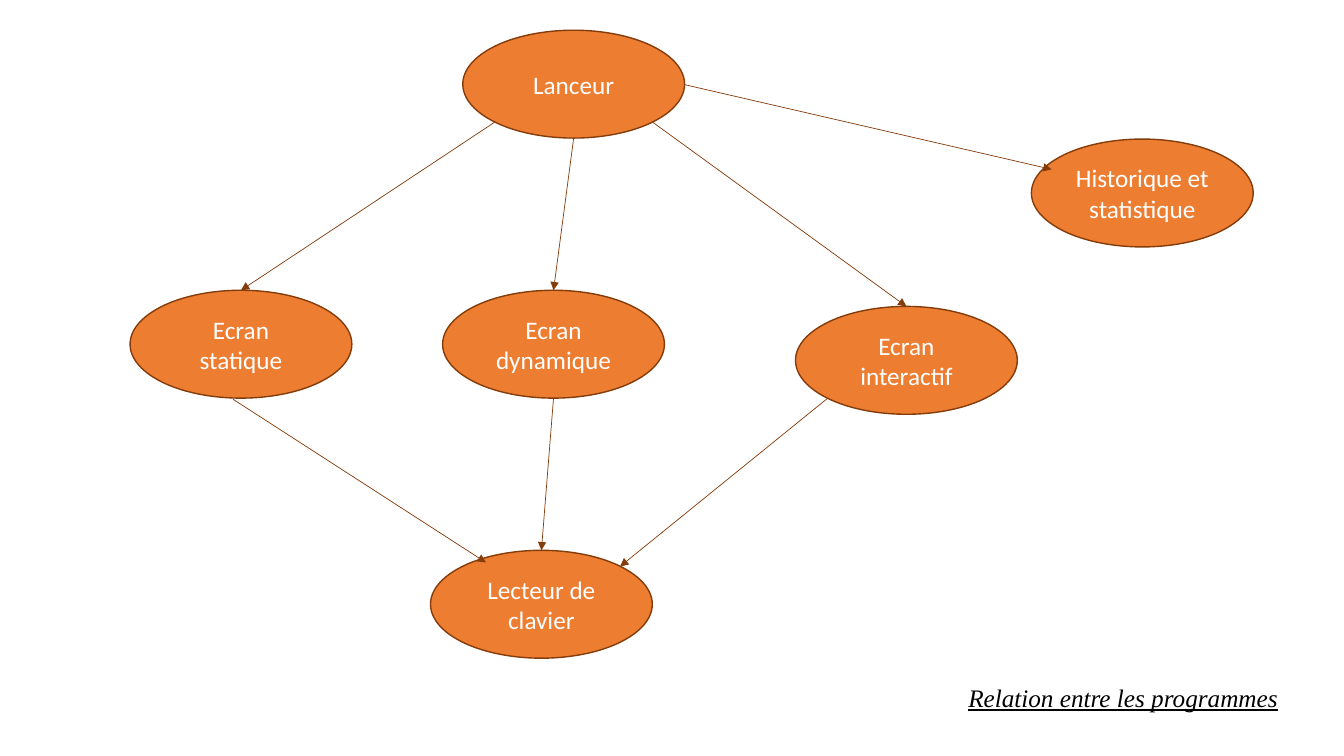
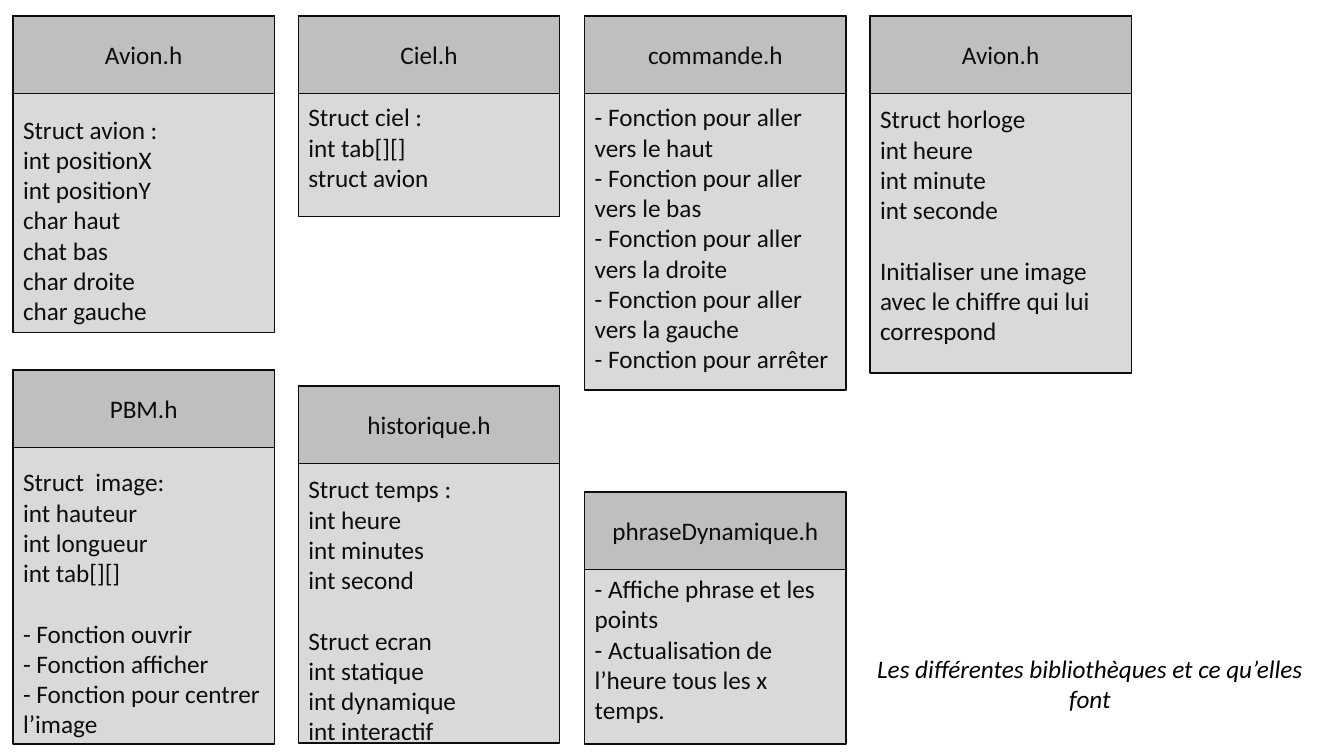
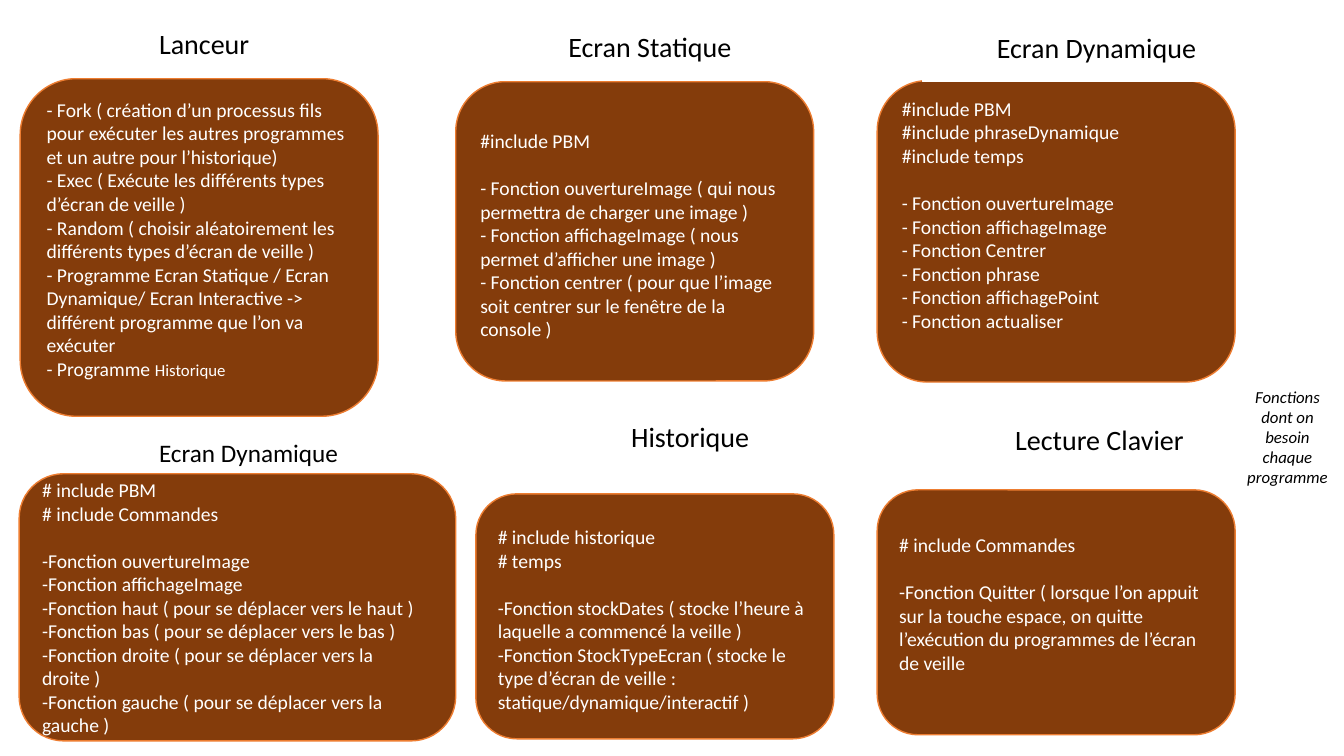
from dataclasses import dataclass
from math import cos, radians, sin
from typing import NamedTuple, Optional

from lxml.etree import SubElement
from pptx import Presentation
from pptx.dml.color import RGBColor
from pptx.enum.shapes import MSO_CONNECTOR as Connector
from pptx.enum.shapes import MSO_SHAPE as Preset
from pptx.enum.text import MSO_ANCHOR as Anchor
from pptx.enum.text import MSO_AUTO_SIZE as AutoSize
from pptx.enum.text import PP_ALIGN as Align
from pptx.oxml.ns import qn
from pptx.util import Emu, Pt

EMU_PER_PX = 9144
TITLE_ONLY = 5
LINE_RATIO = 1.2
CORNER_INSET = 0.16667 * (1 - cos(radians(45)))


@dataclass(frozen=True)
class Theme:
    font: str = "Calibri"
    caption_serif: str = "Times New Roman"
    white: str = "FFFFFF"
    black: str = "000000"
    ink: str = "0D0D0D"
    orange: str = "ED7D31"
    brown: str = "843C0B"
    header_gray: str = "BFBFBF"
    body_gray: str = "D9D9D9"
    heading_size: int = 20
    text_size: int = 18
    function_size: int = 14
    small_size: int = 12
    outline: float = 1
    arrow: float = 0.5


THEME = Theme()


class Box(NamedTuple):
    left: int
    top: int
    width: int
    height: int


class Point(NamedTuple):
    x: int
    y: int


@dataclass(frozen=True)
class TextStyle:
    size: int = THEME.text_size
    color: str = THEME.black
    font: str = THEME.font
    align: Align = Align.CENTER
    italic: bool = False
    underline: bool = False


@dataclass(frozen=True)
class Program:
    name: str
    left: int
    top: int

    def box(self) -> Box:
        return Box(self.left, self.top, 220, 107)

    def rim(self, degrees: int) -> Point:
        left, top, width, height = self.box()
        angle = radians(degrees)
        return Point(round(left + width / 2 * (1 + cos(angle))),
                     round(top + height / 2 * (1 + sin(angle))))


@dataclass(frozen=True)
class Link:
    start: Point
    end: Point
    joined_top: Optional[Program] = None


Groups = tuple[tuple[str, ...], ...]


@dataclass(frozen=True)
class Library:
    name: str
    column: int
    top: int
    height: int
    text_top: int
    groups: Groups


@dataclass(frozen=True)
class Functions:
    name: str
    heading: Point
    box: Box
    groups: Groups
    text_top: Optional[int] = None
    heading_size: int = THEME.heading_size
    small_tail: str = ""
    heading_behind: bool = False


TOP, BOTTOM, RIGHT, LOWER_RIGHT, LOWER_LEFT, UPPER_RIGHT = -90, 90, 0, 45, 135, -45

LAUNCHER = Program("Lanceur", 459, 30)
KEYBOARD = Program("Lecteur de clavier", 427, 546)
INTERACTIVE = Program("Ecran interactif", 789, 304)
DYNAMIC = Program("Ecran dynamique", 439, 288)
STATIC = Program("Ecran statique", 129, 288)
HISTORY = Program("Historique et statistique", 1023, 138)
PROGRAMS = (LAUNCHER, KEYBOARD, INTERACTIVE, DYNAMIC, STATIC, HISTORY)

LINKS = (
    Link(LAUNCHER.rim(BOTTOM), DYNAMIC.rim(TOP), DYNAMIC),
    Link(LAUNCHER.rim(LOWER_RIGHT), INTERACTIVE.rim(TOP), INTERACTIVE),
    Link(LAUNCHER.rim(LOWER_LEFT), STATIC.rim(TOP), STATIC),
    Link(LAUNCHER.rim(RIGHT), Point(1043, 168)),
    Link(Point(231, 396), Point(482, 558)),
    Link(DYNAMIC.rim(BOTTOM), KEYBOARD.rim(TOP), KEYBOARD),
    Link(INTERACTIVE.rim(LOWER_LEFT), KEYBOARD.rim(UPPER_RIGHT)),
)

LIBRARIES = (
    Library("Avion.h", 0, 16, 314, 113, ((
        "Struct avion :", "int positionX", "int positionY", "char haut",
        "chat bas", "char droite", "char gauche"),)),
    Library("Ciel.h", 1, 16, 199, 101, ((
        "Struct ciel :", "int tab[][]", "struct avion"),)),
    Library("commande.h", 2, 16, 371, 101, ((
        "- Fonction pour aller vers le haut",
        "- Fonction pour aller vers le bas",
        "- Fonction pour aller vers la droite",
        "- Fonction pour aller vers la gauche",
        "- Fonction pour arrêter"),)),
    Library("Avion.h", 3, 16, 354, 103, (
        ("Struct horloge", "int heure", "int minute", "int seconde"),
        ("Initialiser une image avec le chiffre qui lui correspond",))),
    Library("PBM.h", 0, 367, 371, 463, (
        ("Struct  image:", "int hauteur", "int longueur", "int tab[][]"),
        ("- Fonction ouvrir", "- Fonction afficher",
         "- Fonction pour centrer l’image"))),
    Library("historique.h", 1, 383, 354, 470, (
        ("Struct temps :", "int heure", "int minutes", "int second"),
        ("Struct ecran", "int statique", "int dynamique", "int interactif"))),
    Library("phraseDynamique.h", 2, 488, 250, 569, ((
        "- Affiche phrase et les points",
        "- Actualisation de l’heure tous les x temps."),)),
)

FUNCTIONS = (
    Functions("Lanceur", Point(30, 9), Box(20, 78, 355, 335), ((
        "- Fork ( création d’un processus fils pour exécuter les autres programmes"
        " et un autre pour l’historique)",
        "- Exec ( Exécute les différents types d’écran de veille )",
        "- Random ( choisir aléatoirement les différents types d’écran de veille )",
        "- Programme Ecran Statique / Ecran Dynamique/ Ecran Interactive ->"
        " différent programme que l’on va exécuter",
        "- Programme "),), text_top=97, small_tail="Historique"),
    Functions("Ecran Statique", Point(472, 12), Box(452, 81, 355, 297), (
        ("#include PBM",),
        ("- Fonction ouvertureImage ( qui nous permettra de charger une image )",
         "- Fonction affichageImage ( nous permet d’afficher une image )",
         "- Fonction centrer ( pour que l’image soit centrer sur le fenêtre"
         " de la console )")), text_top=128),
    Functions("Ecran Dynamique", Point(915, 13), Box(870, 80, 355, 299), (
        ("#include PBM", "#include phraseDynamique", "#include temps"),
        ("- Fonction ouvertureImage", "- Fonction affichageImage",
         "- Fonction Centrer", "- Fonction phrase", "- Fonction affichagePoint",
         "- Fonction actualiser")), text_top=96),
    Functions("Ecran Dynamique", Point(74, 415), Box(19, 470, 433, 265), (
        ("# include PBM", "# include Commandes"),
        ("-Fonction ouvertureImage", "-Fonction affichageImage",
         "-Fonction haut ( pour se déplacer vers le haut )",
         "-Fonction bas ( pour se déplacer vers le bas )",
         "-Fonction droite ( pour se déplacer vers la droite )",
         "-Fonction gauche ( pour se déplacer vers la gauche )")),
        heading_size=THEME.text_size, heading_behind=True),
    Functions("Historique", Point(512, 399), Box(472, 490, 355, 243), (
        ("# include historique", "# temps"),
        ("-Fonction stockDates ( stocke l’heure à laquelle a commencé la veille )",
         "-Fonction StockTypeEcran ( stocke le type d’écran de veille :"
         " statique/dynamique/interactif )")), text_top=521),
    Functions("Lecture Clavier", Point(918, 402), Box(870, 486, 355, 243), (
        ("# include Commandes",),
        ("-Fonction Quitter ( lorsque l’on appuit sur la touche espace, on quitte"
         " l’exécution du programmes de l’écran de veille",)), text_top=529),
)


def px(length: float) -> Emu:
    return Emu(round(length * EMU_PER_PX))


def rgb(color: str) -> RGBColor:
    return RGBColor.from_string(color)


def paint(shape, fill: str, line: str) -> None:
    shape.fill.solid()
    shape.fill.fore_color.rgb = rgb(fill)
    shape.line.color.rgb = rgb(line)
    shape.line.width = Pt(THEME.outline)


def format_run(run, style: TextStyle) -> None:
    font = run.font
    font.name = style.font
    font.size = Pt(style.size)
    font.color.rgb = rgb(style.color)
    font.italic = style.italic
    font.underline = style.underline


def write(shape, groups: Groups, style: TextStyle) -> None:
    frame = shape.text_frame
    frame.word_wrap = True
    frame.vertical_anchor = Anchor.MIDDLE
    frame.text = "\n".join(line for group in groups for line in group)
    openings = {sum(map(len, groups[:index])) for index in range(1, len(groups))}
    for index, paragraph in enumerate(frame.paragraphs):
        paragraph.alignment = style.align
        if index in openings:
            paragraph.space_before = Pt(style.size * LINE_RATIO)
        for run in paragraph.runs:
            format_run(run, style)


def start_text_at(shape, offset: float) -> None:
    frame = shape.text_frame
    frame.vertical_anchor = Anchor.TOP
    frame.margin_top = px(offset)
    frame.margin_bottom = 0


def add_panel(slide, preset: Preset, box: Box, fill: str, line: str,
              groups: Groups, style: TextStyle):
    panel = slide.shapes.add_shape(preset, *map(px, box))
    panel.shadow.inherit = False
    paint(panel, fill, line)
    write(panel, groups, style)
    return panel


def add_caption(slide, caption: str, box: Box, style: TextStyle) -> None:
    title = slide.shapes.title
    title.left, title.top, title.width, title.height = map(px, box)
    paint(title, THEME.white, THEME.white)
    write(title, ((caption,),), style)
    title.text_frame.auto_size = AutoSize.NONE
    title.element.getparent().append(title.element)


def add_link(slide, link: Link, ellipses: dict) -> None:
    arrow = slide.shapes.add_connector(
        Connector.STRAIGHT, *map(px, (*link.start, *link.end)))
    if link.joined_top:
        arrow.end_connect(ellipses[link.joined_top], 0)
    arrow.line.color.rgb = rgb(THEME.brown)
    arrow.line.width = Pt(THEME.arrow)
    properties = arrow.element.spPr
    SubElement(properties.find(qn("a:ln")), qn("a:tailEnd"), type="triangle")
    SubElement(properties, qn("a:effectLst"))


def add_library(slide, library: Library) -> None:
    left = 13 + round(library.column * 850 / 3)
    body = add_panel(slide, Preset.RECTANGLE,
                     Box(left, library.top, 259, library.height),
                     THEME.body_gray, THEME.ink, library.groups,
                     TextStyle(color=THEME.ink, align=Align.LEFT))
    start_text_at(body, library.text_top - library.top)
    add_panel(slide, Preset.RECTANGLE, Box(left, library.top, 259, 77),
              THEME.header_gray, THEME.ink, ((library.name,),),
              TextStyle(color=THEME.ink))


def add_function_card(slide, functions: Functions) -> None:
    box = functions.box
    style = TextStyle(THEME.function_size, THEME.white, align=Align.LEFT)
    card = add_panel(slide, Preset.ROUNDED_RECTANGLE, box, THEME.brown,
                     THEME.orange, functions.groups, style)
    if functions.text_top is not None:
        inset = min(box.width, box.height) * CORNER_INSET
        start_text_at(card, functions.text_top - box.top - inset)
    if functions.small_tail:
        tail = card.text_frame.paragraphs[-1].add_run()
        tail.text = functions.small_tail
        format_run(tail, TextStyle(THEME.small_size, THEME.white))


def add_function_heading(slide, functions: Functions) -> None:
    add_panel(slide, Preset.RECTANGLE, Box(*functions.heading, 345, 68),
              THEME.white, THEME.white, ((functions.name,),),
              TextStyle(functions.heading_size))


def build_relations(slide) -> None:
    ellipses = {
        program: add_panel(slide, Preset.OVAL, program.box(), THEME.orange,
                           THEME.brown, ((program.name,),),
                           TextStyle(color=THEME.white))
        for program in PROGRAMS
    }
    for link in LINKS:
        add_link(slide, link, ellipses)
    add_caption(slide, "Relation entre les programmes", Box(916, 654, 396, 75),
                TextStyle(font=THEME.caption_serif, italic=True, underline=True))


def build_libraries(slide) -> None:
    for library in LIBRARIES:
        add_library(slide, library)
    add_caption(slide, "Les différentes bibliothèques et ce qu’elles font",
                Box(846, 642, 470, 72), TextStyle(italic=True))


def build_functions(slide) -> None:
    for functions in FUNCTIONS:
        steps = [add_function_card, add_function_heading]
        if functions.heading_behind:
            steps.reverse()
        for step in steps:
            step(slide, functions)
    add_caption(slide, "Fonctions dont on besoin chaque programme",
                Box(1223, 358, 108, 151),
                TextStyle(THEME.small_size, italic=True))


def main() -> None:
    deck = Presentation()
    deck.slide_width, deck.slide_height = px(1333), px(750)
    for build in (build_relations, build_libraries, build_functions):
        build(deck.slides.add_slide(deck.slide_layouts[TITLE_ONLY]))
    deck.save("out.pptx")


if __name__ == "__main__":
    main()
